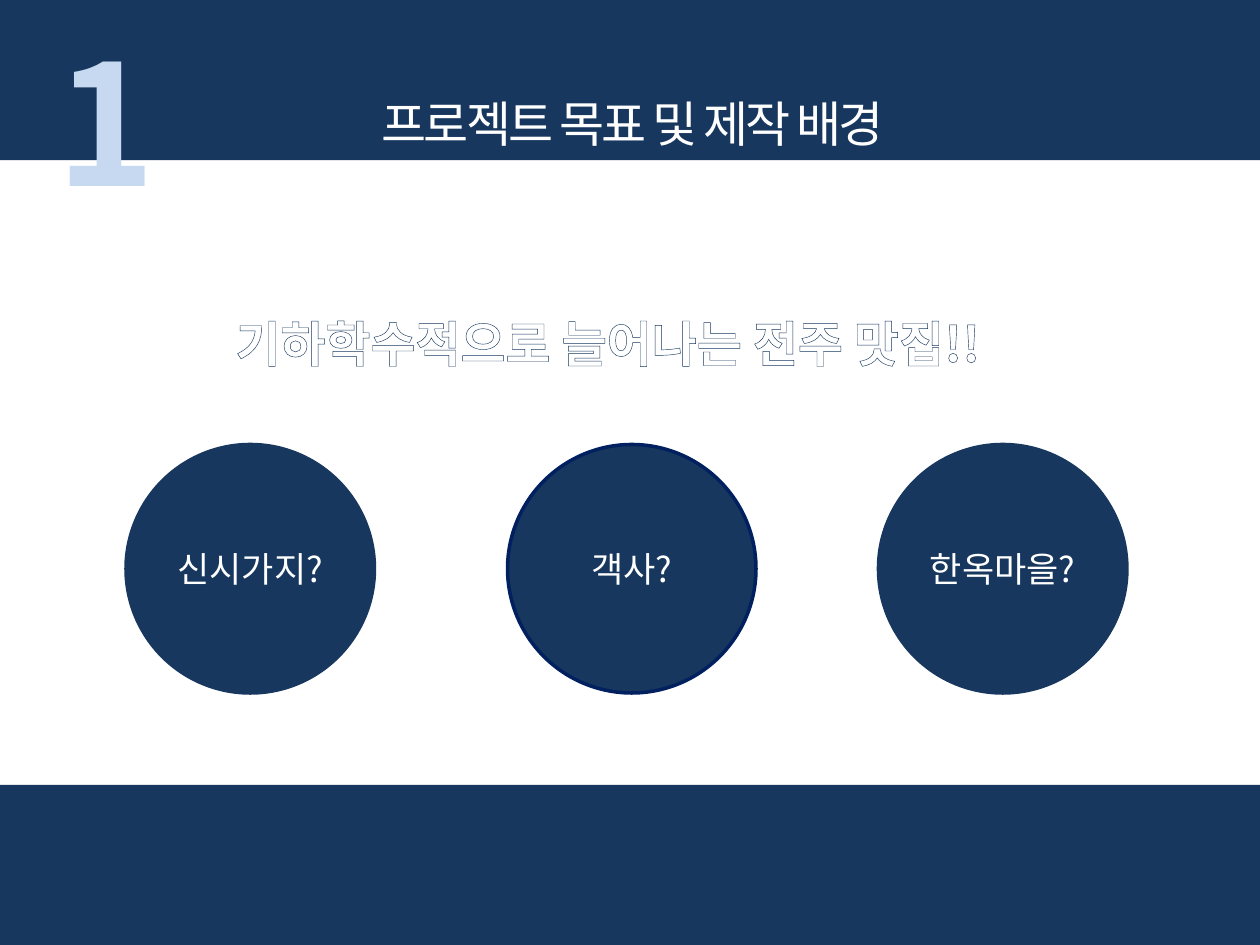
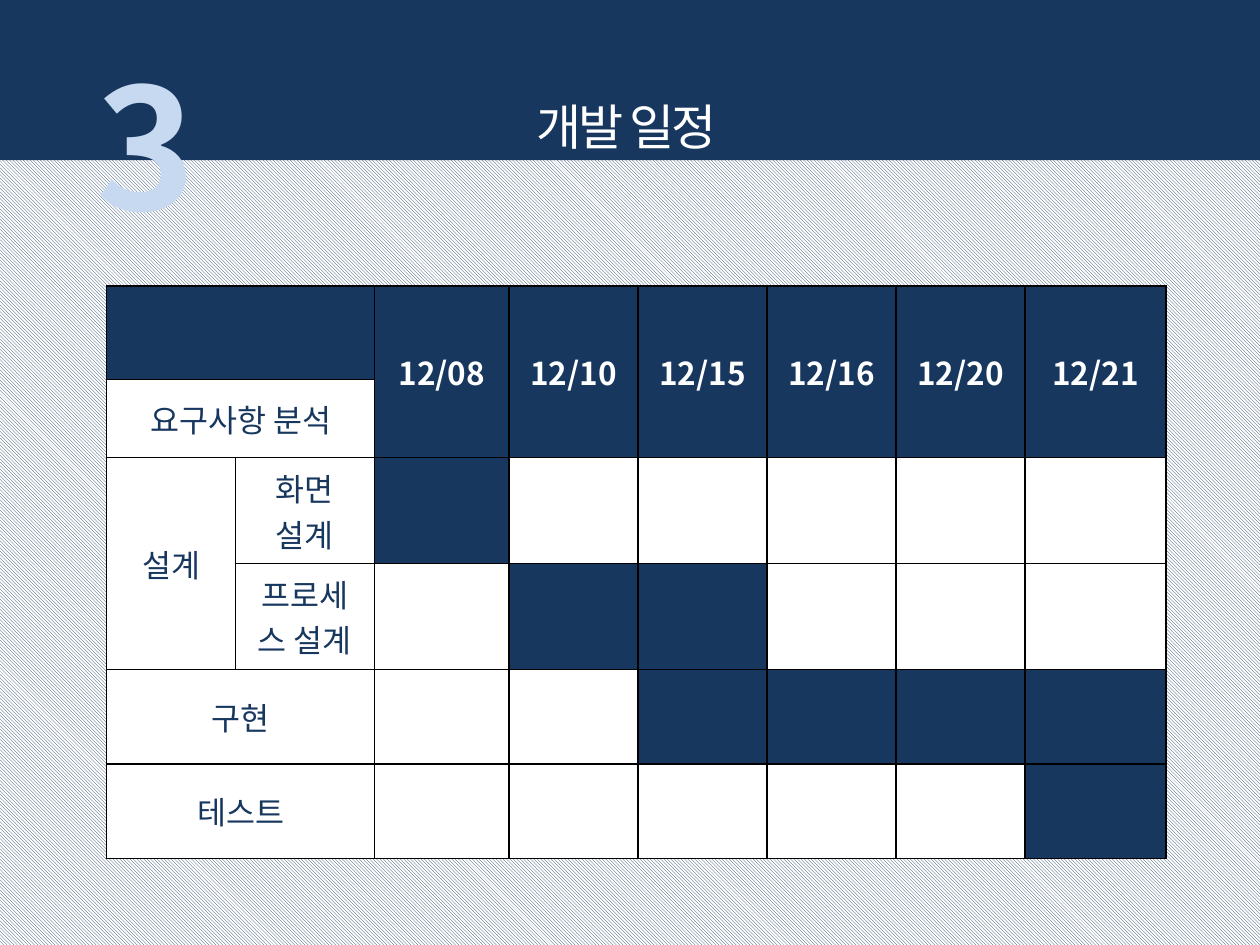
"""Build two project slides: the goal and background, and the development schedule."""
from dataclasses import dataclass
from typing import Any, NamedTuple

from lxml.etree import SubElement
from pptx import Presentation
from pptx.dml.color import RGBColor
from pptx.enum.dml import MSO_PATTERN
from pptx.enum.shapes import MSO_SHAPE
from pptx.enum.text import MSO_ANCHOR, MSO_AUTO_SIZE, PP_ALIGN
from pptx.oxml import parse_xml
from pptx.oxml.ns import nsdecls, qn
from pptx.util import Pt


@dataclass(frozen=True)
class Theme:
    navy: str = "17375E"
    deep_blue: str = "002060"
    slate: str = "1F497D"
    pale_blue: str = "C6D9F1"
    white: str = "FFFFFF"
    black: str = "000000"
    font: str = "Noto Sans CJK KR"
    number_size: int = 96
    title_size: int = 28
    circle_size: int = 20
    table_size: int = 18
    tight_line: float = 0.89


class Box(NamedTuple):
    left: float
    top: float
    width: float
    height: float

    def lengths(self) -> list[Pt]:
        return [Pt(value) for value in self]


class Circle(NamedTuple):
    label: str
    left: float
    line: str


class Task(NamedTuple):
    row: int
    column: int
    row_end: int
    column_end: int
    label: str


THEME = Theme()
TOP_BAND = Box(0, 0, 720, 91.5)
BOTTOM_BAND = Box(0, 448.5, 720, 91.5)
CIRCLE_TOP, CIRCLE_SIZE = 254, 142
CIRCLES = [
    Circle("신시가지?", 72, THEME.navy),
    Circle("객사?", 290, THEME.deep_blue),
    Circle("한옥마을?", 502, THEME.navy),
]

TABLE_BOX = Box(61, 163.5, 605.5, 327.5)
COLUMN_WIDTHS = [73.5, 79.5, 77, 73.7, 73.7, 73.7, 73.7, 80.7]
ROW_HEIGHTS = [53.5, 44.5, 60.5, 60.5, 54, 54]
DATES = ["12/08", "12/10", "12/15", "12/16", "12/20", "12/21"]
TASKS = [
    Task(0, 0, 0, 1, ""),
    Task(1, 0, 1, 1, "요구사항 분석"),
    Task(2, 0, 3, 0, "설계"),
    Task(2, 1, 2, 1, "화면\n설계"),
    Task(3, 1, 3, 1, "프로세스 설계"),
    Task(4, 0, 4, 1, "구현"),
    Task(5, 0, 5, 1, "테스트"),
]
WORK_DAYS = {2: range(2, 3), 3: range(3, 5), 4: range(4, 8), 5: range(7, 8)}


def color(value: str) -> RGBColor:
    """Turn a hex value into a colour."""
    return RGBColor.from_string(value)


def apply_formats(target: Any, formats: dict[str, Any]) -> None:
    """Set each named attribute on the target."""
    for name, value in formats.items():
        setattr(target, name, value)


def fill_solid(target: Any, value: str) -> None:
    """Give a shape, cell or line one solid colour."""
    target.fill.solid()
    target.fill.fore_color.rgb = color(value)


def write_text(frame: Any, text: str, size: float, value: str, bold: bool = False,
               align: PP_ALIGN = PP_ALIGN.CENTER, spacing: float | None = None) -> None:
    """Write styled paragraphs, one for each line of text."""
    frame.text = text
    for paragraph in frame.paragraphs:
        apply_formats(paragraph, {"alignment": align, "line_spacing": spacing})
        for run in paragraph.runs:
            apply_formats(run.font, {"name": THEME.font, "size": Pt(size), "bold": bold})
            run.font.color.rgb = color(value)
            east_asian = SubElement(run.font._element, qn("a:ea"))
            east_asian.set("typeface", THEME.font)


def outline_text(frame: Any, width: float) -> None:
    """Draw a navy outline around the letters."""
    outline = parse_xml(
        f'<a:ln {nsdecls("a")} w="{Pt(width)}"><a:solidFill>'
        f'<a:srgbClr val="{THEME.navy}"/></a:solidFill></a:ln>')
    frame.paragraphs[0].runs[0].font._element.insert(0, outline)


def add_filled_shape(slide: Any, kind: MSO_SHAPE, box: Box, line: str | None = None) -> Any:
    """Add a navy shape with an optional outline."""
    shape = slide.shapes.add_shape(kind, *box.lengths())
    shape.shadow.inherit = False
    fill_solid(shape, THEME.navy)
    if line:
        fill_solid(shape.line, line)
        shape.line.width = Pt(2)
    else:
        shape.line.fill.background()
    return shape


def add_growing_text(slide: Any, box: Box, text: str, size: float, value: str,
                     outline: float) -> Any:
    """Add bold outlined text in a box that grows with it."""
    frame = slide.shapes.add_textbox(*box.lengths()).text_frame
    apply_formats(frame, {"word_wrap": True, "auto_size": MSO_AUTO_SIZE.SHAPE_TO_FIT_TEXT})
    write_text(frame, text, size, value, True, PP_ALIGN.LEFT, THEME.tight_line)
    outline_text(frame, outline)
    return frame


def add_section_slide(presentation: Any, title: str, title_box: Box,
                      number: str, number_box: Box) -> Any:
    """Add a slide with the top band, its title and the section number."""
    slide = presentation.slides.add_slide(presentation.slide_layouts[5])
    band = add_filled_shape(slide, MSO_SHAPE.RECTANGLE, TOP_BAND)
    heading = slide.shapes.title
    band.element.addnext(heading.element)
    apply_formats(heading, dict(zip(Box._fields, title_box.lengths())))
    frame = heading.text_frame
    apply_formats(frame, {"vertical_anchor": MSO_ANCHOR.TOP, "auto_size": MSO_AUTO_SIZE.NONE,
                          "word_wrap": True})
    write_text(frame, title, THEME.title_size, THEME.white, spacing=THEME.tight_line)
    frame.paragraphs[0].runs[0].font._element.set("spc", "-150")

    number_frame = add_growing_text(slide, number_box, number, THEME.number_size,
                                    THEME.pale_blue, 1)
    fill = number_frame.paragraphs[0].runs[0].font.fill
    set_pattern(fill, MSO_PATTERN.DARK_UPWARD_DIAGONAL, THEME.slate, THEME.pale_blue)
    return slide


def set_pattern(fill: Any, pattern: MSO_PATTERN, front: str, back: str) -> None:
    """Fill with a two-colour pattern."""
    fill.patterned()
    fill.pattern = pattern
    fill.fore_color.rgb = color(front)
    fill.back_color.rgb = color(back)


def add_borders(cell: Any) -> None:
    """Draw a thin black line on each side of a cell."""
    properties = cell._tc.get_or_add_tcPr()
    for position, side in enumerate(("lnL", "lnR", "lnT", "lnB")):
        properties.insert(position, parse_xml(
            f'<a:{side} {nsdecls("a")} w="{Pt(1)}"><a:solidFill>'
            f'<a:srgbClr val="{THEME.black}"/></a:solidFill></a:{side}>'))


def add_schedule(slide: Any) -> None:
    """Add the schedule table with its work days filled in."""
    table = slide.shapes.add_table(len(ROW_HEIGHTS), len(COLUMN_WIDTHS),
                                   *TABLE_BOX.lengths()).table
    apply_formats(table, {"first_row": False, "horz_banding": False})
    for column, width in zip(table.columns, COLUMN_WIDTHS):
        column.width = Pt(width)
    for row, height in zip(table.rows, ROW_HEIGHTS):
        row.height = Pt(height)

    for row_index, row in enumerate(table.rows):
        for column_index, cell in enumerate(row.cells):
            is_header = row_index == 0 or (row_index == 1 and column_index > 1)
            is_work_day = column_index in WORK_DAYS.get(row_index, ())
            fill_solid(cell, THEME.navy if is_header or is_work_day else THEME.white)
            cell.vertical_anchor = MSO_ANCHOR.MIDDLE
            add_borders(cell)

    for column_index, date in enumerate(DATES, start=2):
        cell = table.cell(0, column_index)
        cell.merge(table.cell(1, column_index))
        write_text(cell.text_frame, date, THEME.table_size, THEME.white, True)
    for task in TASKS:
        cell = table.cell(task.row, task.column)
        if (task.row, task.column) != (task.row_end, task.column_end):
            cell.merge(table.cell(task.row_end, task.column_end))
        if task.label:
            write_text(cell.text_frame, task.label, THEME.table_size, THEME.navy)


def build_goal_slide(presentation: Any) -> None:
    """Build the slide on the goal and background."""
    slide = add_section_slide(presentation, "프로젝트 목표 및 제작 배경", Box(37.5, 54, 648, 79),
                              "1", Box(25, 21, 88, 124))
    add_filled_shape(slide, MSO_SHAPE.RECTANGLE, BOTTOM_BAND)
    add_growing_text(slide, Box(127.5, 179.5, 570, 41), "기하학수적으로 늘어나는 전주 맛집!!",
                     THEME.title_size, THEME.white, 0.52)
    for circle in CIRCLES:
        box = Box(circle.left, CIRCLE_TOP, CIRCLE_SIZE, CIRCLE_SIZE)
        shape = add_filled_shape(slide, MSO_SHAPE.OVAL, box, circle.line)
        shape.text_frame.vertical_anchor = MSO_ANCHOR.MIDDLE
        write_text(shape.text_frame, circle.label, THEME.circle_size, THEME.white)


def build_schedule_slide(presentation: Any) -> None:
    """Build the slide on the development schedule."""
    slide = add_section_slide(presentation, "개발 일정", Box(34, 55.5, 648, 79),
                              "3", Box(48, 34.5, 88, 124))
    set_pattern(slide.background.fill, MSO_PATTERN.LIGHT_DOWNWARD_DIAGONAL,
                THEME.navy, THEME.white)
    add_schedule(slide)


def main() -> None:
    """Build and save the presentation."""
    presentation = Presentation()
    apply_formats(presentation, {"slide_width": Pt(720), "slide_height": Pt(540)})
    build_goal_slide(presentation)
    build_schedule_slide(presentation)
    presentation.save("out.pptx")


if __name__ == "__main__":
    main()
